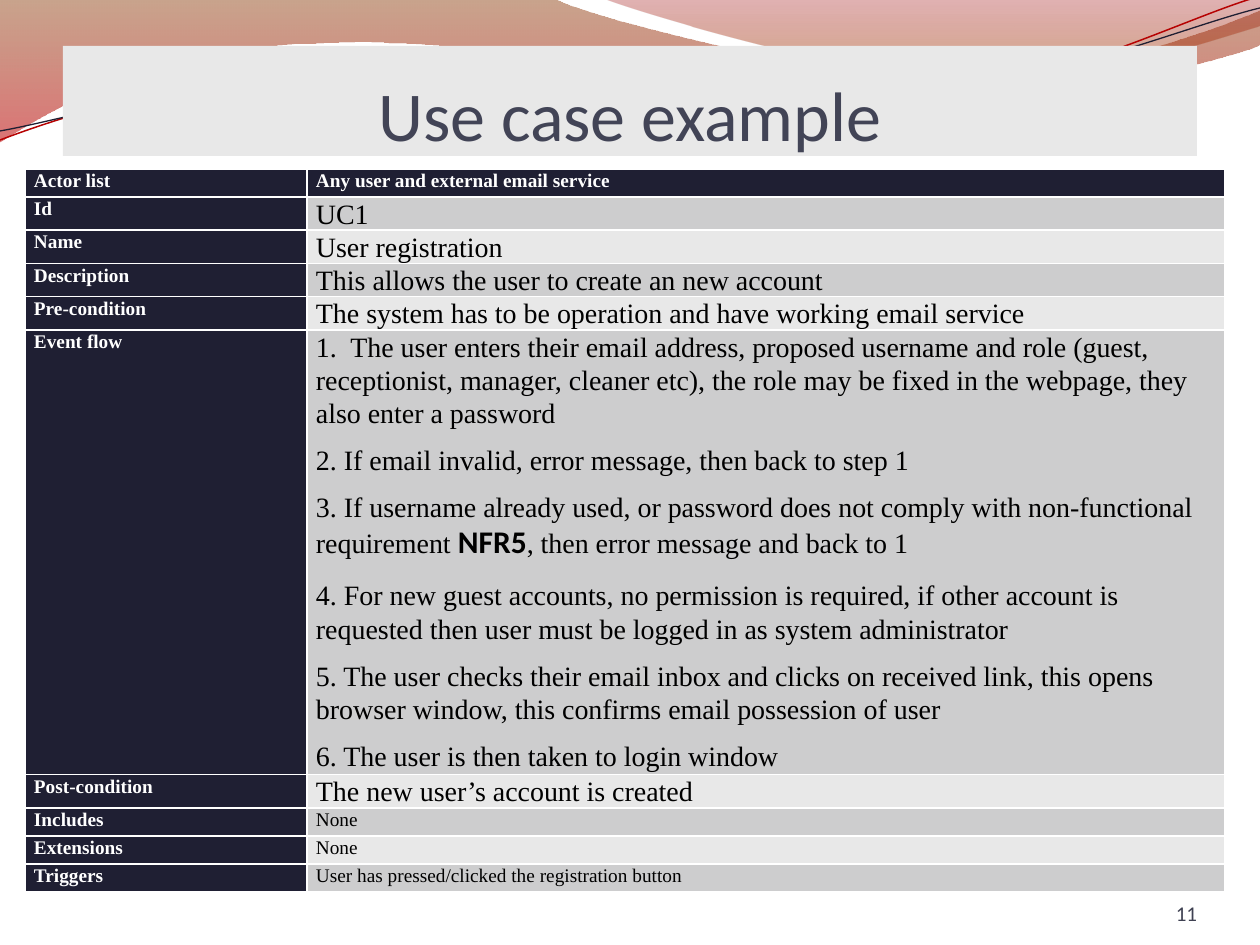
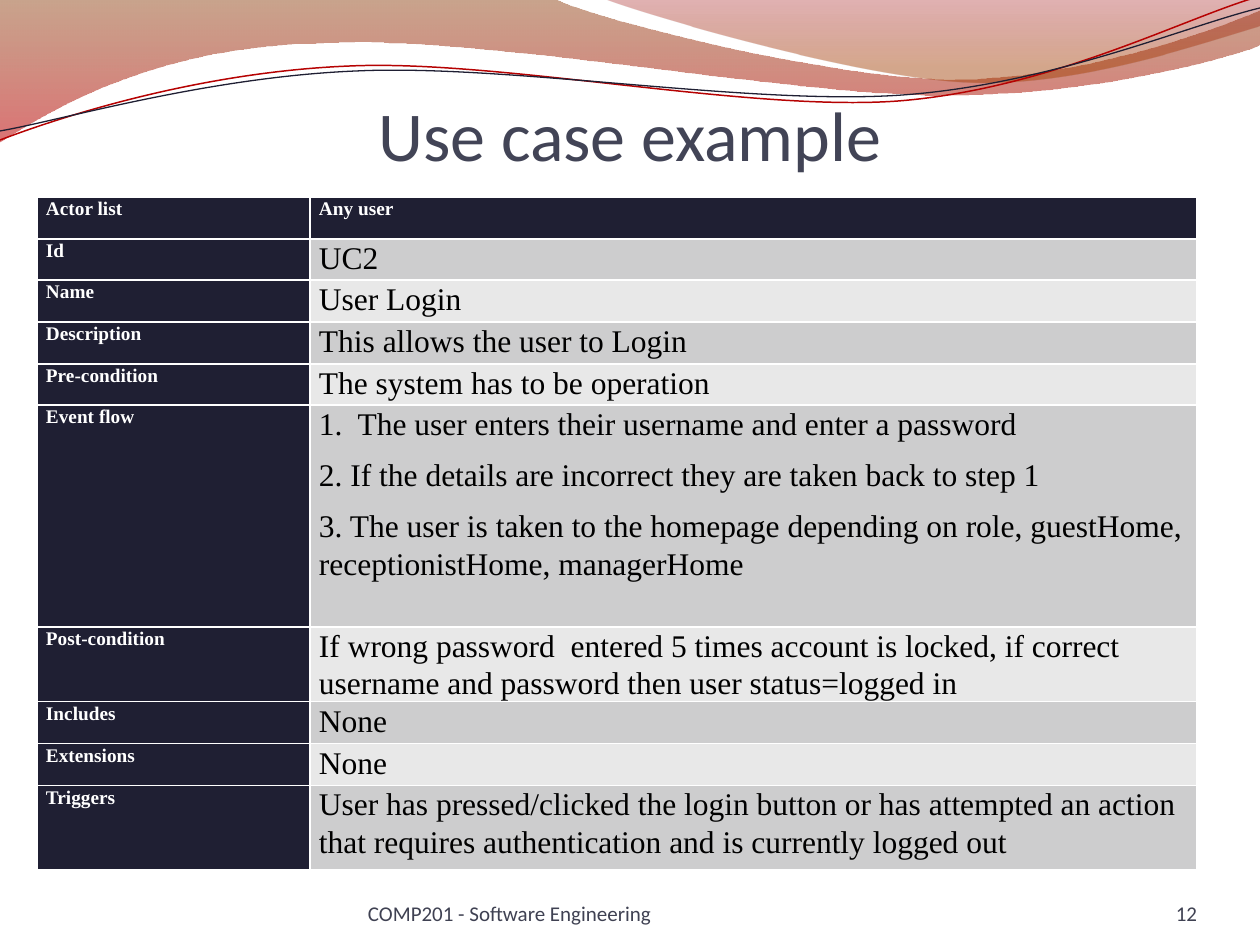
from dataclasses import dataclass

from lxml import etree
from pptx import Presentation
from pptx.dml.color import RGBColor
from pptx.enum.shapes import MSO_SHAPE
from pptx.enum.text import MSO_ANCHOR, PP_ALIGN
from pptx.oxml.ns import qn
from pptx.util import Emu, Pt

RECT = MSO_SHAPE.RECTANGLE
BOTTOM = MSO_ANCHOR.BOTTOM
CENTER, RIGHT = PP_ALIGN.CENTER, PP_ALIGN.RIGHT
EMU_PER_PX = 914400 / 126
LINE_RATIO = 1.185


@dataclass(frozen=True)
class Theme:
    navy: str = "1F1F33"
    red: str = "B60202"
    white: str = "FFFFFF"
    black: str = "000000"
    title: str = "424456"
    footer: str = "3F4152"
    band_dark: str = "CDCDCE"
    band_light: str = "E8E8E8"
    back_wave: tuple = ((0, "883400", 45), (1, "BD0000", 55))
    front_wave: tuple = ((0, "9A0000", 30), (0.8, "A23E00", 45))
    sans: str = "Calibri"
    serif: str = "Times New Roman"
    title_size: int = 40
    footer_size: int = 12
    label_size: int = 11
    flow_size: int = 16
    large_size: int = 18


T = Theme()

BACK_WAVE = [
    (0, 0), (554, -1),
    (600, 21, 837, 79, 955, 79), (1075, 79, 1207, 33, 1260, 11),
    (1261, 45),
    (1239, 55, 1096, 96, 940, 95), (784, 95, 481, 35, 324, 43),
    (163, 45, 58, 105, -1, 142),
]
FRONT_WAVE = [
    (604, -1), (641, 14, 859, 78, 969, 82),
    (1079, 87, 1211, 40, 1260, 26), (1260, 0),
]
RED_LINE = [
    (0, 140), (60, 117, 199, 72, 349, 66),
    (498, 59, 747, 112, 898, 101), (1050, 89, 1182, 19, 1257, -3),
]
NAVY_LINE = [
    (0, 131), (59, 121, 207, 77, 357, 71),
    (508, 64, 752, 106, 903, 95), (1053, 84, 1186, 26, 1260, 8),
]

LABELS = [
    "Actor list", "Id", "Name", "Description", "Pre-condition", "Event flow",
    "Post-condition", "Includes", "Extensions", "Triggers",
]
REGISTRATION = [
    "Any user and external email service",
    "UC1",
    "User registration",
    "This allows the user to create an new account",
    "The system has to be operation and have working email service",
    [
        "1.  The user enters their email address, proposed username and role (guest, receptionist, "
        "manager, cleaner etc), the role may be fixed in the webpage, they also enter a password",
        "2. If email invalid, error message, then back to step 1",
        [
            ("3. If username already used, or password does not comply with "
             "non-functional requirement ", {}),
            ("NFR5", dict(size=T.large_size, font=T.sans, bold=True)),
            (", then error message and back to 1", {}),
        ],
        "4. For new guest accounts, no permission is required, if other account is requested "
        "then user must be logged in as system administrator",
        "5. The user checks their email inbox and clicks on received link, this opens browser "
        "window, this confirms email possession of user",
        "6. The user is then taken to login window",
    ],
    "The new user’s account is created",
    "None",
    "None",
    "User has pressed/clicked the registration button",
]
LOGIN = [
    "Any user",
    "UC2",
    "User Login",
    "This allows the user to Login",
    "The system has to be operation",
    [
        "1.  The user enters their username and enter a password",
        "2. If the details are incorrect they are taken back to step 1",
        "3. The user is taken to the homepage depending on role, guestHome, "
        "receptionistHome, managerHome",
    ],
    "If wrong password  entered 5 times account is locked, if correct username and password "
    "then user status=logged in",
    "None",
    "None",
    "User has pressed/clicked the login button or has attempted an action that requires "
    "authentication and is currently logged out",
]


def px(n):
    return Emu(round(n * EMU_PER_PX))


def rgb(color):
    return RGBColor.from_string(color)


def write(p, content, size, font, color, bold=False, align=None):
    p.alignment = align
    for text, own in [(content, {})] if isinstance(content, str) else content:
        r = p.add_run()
        r.text = text
        r.font.size = Pt(own.get("size", size))
        r.font.name = own.get("font", font)
        r.font.bold = own.get("bold", bold)
        r.font.color.rgb = rgb(color)


def space_out(p, size, mixed):
    p.line_spacing = 1.0 if mixed else Pt(size * LINE_RATIO)
    p.space_before = Pt(1.2 if mixed else 0)
    p.space_after = Pt(9.5 if mixed else 8)


def add_text(s, text, box, fill=None, top=0, **fmt):
    box = [px(n) for n in box]
    if fill:
        sp = s.shapes.add_shape(RECT, *box)
        sp.shadow.inherit = False
        sp.fill.solid()
        sp.fill.fore_color.rgb = rgb(fill)
        sp.line.fill.background()
    else:
        sp = s.shapes.add_textbox(*box)
    tf = sp.text_frame
    tf.word_wrap = True
    tf.margin_left = tf.margin_right = tf.margin_bottom = 0
    tf.margin_top = px(top)
    tf.vertical_anchor = BOTTOM
    write(tf.paragraphs[0], text, **fmt)


def add_outline(s, segments, close):
    ends = [(px(seg[-2]), px(seg[-1])) for seg in segments]
    fb = s.shapes.build_freeform(*ends[0])
    fb.add_line_segments(ends[1:], close=close)
    sp = fb.convert_to_shape()
    sp.shadow.inherit = False
    left, top = sp.left, sp.top
    for node, seg in zip(list(sp._element.spPr.iter(qn("a:lnTo"))), segments[1:]):
        if len(seg) == 6:
            curve = etree.Element(qn("a:cubicBezTo"))
            for x, y in zip(seg[::2], seg[1::2]):
                etree.SubElement(curve, qn("a:pt"), x=str(px(x) - left), y=str(px(y) - top))
            node.getparent().replace(node, curve)
    return sp


def add_wave(s, segments, stops):
    sp = add_outline(s, segments, True)
    sp.line.fill.background()
    sp.fill.gradient()
    sp.fill.gradient_angle = 270
    for stop, (position, color, _) in zip(sp.fill.gradient_stops, stops):
        stop.position = position
        stop.color.rgb = rgb(color)
    for clr, (_, _, opacity) in zip(sp._element.spPr.iter(qn("a:srgbClr")), stops):
        etree.SubElement(clr, qn("a:alpha"), val=str(opacity * 1000))


def add_ribbon(s, segments, color, width):
    sp = add_outline(s, segments, False)
    sp.fill.background()
    sp.line.color.rgb = rgb(color)
    sp.line.width = Pt(width)


def add_backdrop(s):
    add_wave(s, BACK_WAVE, T.back_wave)
    add_wave(s, FRONT_WAVE, T.front_wave)
    add_ribbon(s, RED_LINE, T.red, 0.85)
    add_ribbon(s, NAVY_LINE, T.navy, 0.75)


def fill_cell(cell, content, row, size, heading):
    cell.margin_left = cell.margin_right = px(9)
    cell.margin_top = cell.margin_bottom = 0
    band = T.band_dark if row % 2 else T.band_light
    cell.fill.solid()
    cell.fill.fore_color.rgb = rgb(T.navy if heading else band)
    size = T.label_size if heading else size
    tf = cell.text_frame
    for i, item in enumerate([content] if isinstance(content, str) else content):
        p = tf.add_paragraph() if i else tf.paragraphs[0]
        space_out(p, size, mixed=not isinstance(item, str))
        write(p, item, size=size, font=T.serif,
              color=T.white if heading else T.black, bold=heading)


def add_use_case(s, values, left, top, cols, rows, sizes):
    frame = s.shapes.add_table(len(rows), len(cols), px(left), px(top),
                               px(sum(cols)), px(sum(rows)))
    table = frame.table
    for column, width in zip(table.columns, cols):
        column.width = px(width)
    for i, (label, value) in enumerate(zip(LABELS, values)):
        table.rows[i].height = px(rows[i])
        fill_cell(table.cell(i, 0), label, i, sizes[i], True)
        fill_cell(table.cell(i, 1), value, i, sizes[i], i == 0)


def add_use_case_slide(prs, number, title_top, use_case, title_fill=None, footer=None):
    s = prs.slides.add_slide(prs.slide_layouts[6])
    add_backdrop(s)
    add_text(s, "Use case example", (63, title_top, 1134, 110), fill=title_fill, top=6,
             size=T.title_size, font=T.sans, color=T.title, align=CENTER)
    small = dict(size=T.footer_size, font=T.sans, color=T.footer)
    if footer:
        add_text(s, footer, (368, 876, 462, 50), **small)
    add_text(s, str(number), (1092, 876, 105, 50), align=RIGHT, **small)
    add_use_case(s, **use_case)


def main():
    prs = Presentation()
    prs.slide_width, prs.slide_height = px(1260), px(945)
    add_use_case_slide(prs, 11, 46, title_fill=T.band_light, use_case=dict(
        values=REGISTRATION, left=25, top=169, cols=(282, 918),
        rows=[28] * 5 + [412] + [28] * 4,
        sizes=[T.flow_size] * 7 + [T.label_size] * 3))
    add_use_case_slide(prs, 12, 66, footer="COMP201 - Software Engineering", use_case=dict(
        values=LOGIN, left=37, top=197, cols=(273, 887),
        rows=[42, 41, 42, 42, 41, 222, 42, 42, 42, 84],
        sizes=[T.large_size] * 10))
    prs.save("out.pptx")


if __name__ == "__main__":
    main()
